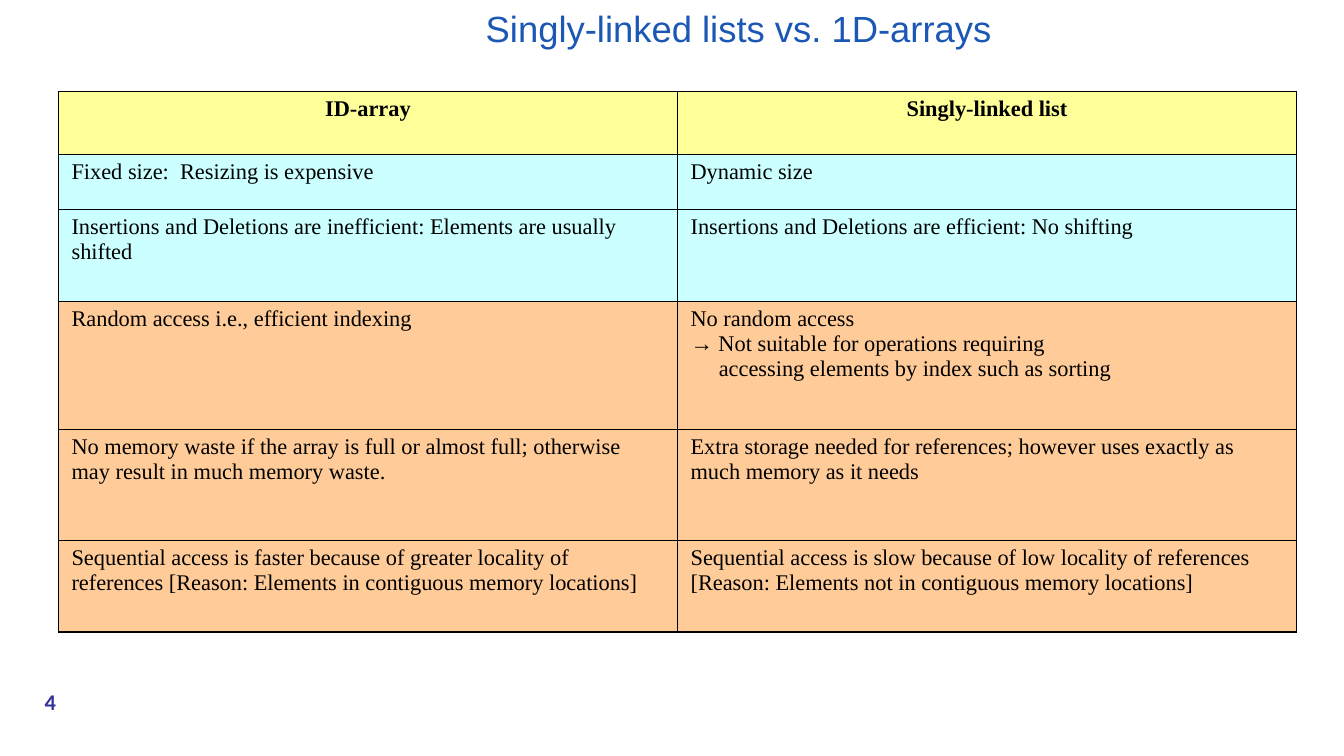
"""Build a slide that compares singly-linked lists with 1D-arrays."""
from dataclasses import dataclass

import pptx
import pptx.dml.color
import pptx.enum.shapes
import pptx.enum.text
import pptx.oxml
import pptx.oxml.ns
import pptx.util

SCALE = 9144
ALIGN = pptx.enum.text.PP_ALIGN
MIDDLE = pptx.enum.text.MSO_ANCHOR.MIDDLE
YELLOW, CYAN, ORANGE = "FFFF99", "CCFFFF", "FFCC99"
BLACK, WHITE = "000000", "FFFFFF"
INDENT = 28


@dataclass(frozen=True)
class Style:
    face: str
    size: int
    color: str
    bold: bool = False
    align: ALIGN = ALIGN.LEFT


@dataclass(frozen=True)
class Row:
    height: int
    fill: str
    array: str
    linked: str


HEAD = Style("Times New Roman", 16, BLACK, True, ALIGN.CENTER)
BODY = Style("Times New Roman", 16, BLACK)
TITLE = Style("Arial", 26, "1B57B5", align=ALIGN.CENTER)
NUMBER = Style("Calibri", 16, "333399", True, ALIGN.CENTER)

ROWS = [
    Row(62, YELLOW, "ID-array", "Singly-linked list"),
    Row(55, CYAN, "Fixed size:  Resizing is expensive", "Dynamic size"),
    Row(91, CYAN,
        "Insertions and Deletions are inefficient: Elements are usually shifted",
        "Insertions and Deletions are efficient: No shifting"),
    Row(127, ORANGE,
        "Random access i.e., efficient indexing",
        "No random access\n→ Not suitable for operations requiring\n"
        "accessing elements by index such as sorting"),
    Row(110, ORANGE,
        "No memory waste if the array is full or almost full; "
        "otherwise may result in much memory waste.",
        "Extra storage needed for references; "
        "however uses exactly as much memory as it needs"),
    Row(91, ORANGE,
        "Sequential access is faster because of greater locality of references "
        "[Reason: Elements in contiguous memory locations]",
        "Sequential access is slow because of low locality of references "
        "[Reason: Elements not in contiguous memory locations]"),
]


def px(count: int) -> pptx.util.Emu:
    return pptx.util.Emu(count * SCALE)


def rgb(code: str) -> pptx.dml.color.RGBColor:
    return pptx.dml.color.RGBColor.from_string(code)


def paint(fill, code: str) -> None:
    fill.solid()
    fill.fore_color.rgb = rgb(code)


def write(frame, text: str, style: Style) -> None:
    frame.text = text
    frame.word_wrap = True
    for par in frame.paragraphs:
        par.alignment = style.align
        for run in par.runs:
            font = run.font
            font.name = style.face
            font.size = pptx.util.Pt(style.size)
            font.bold = style.bold
            font.color.rgb = rgb(style.color)


def border(cell) -> None:
    props = cell._tc.get_or_add_tcPr()
    for side in ("lnL", "lnR", "lnT", "lnB"):
        props.append(pptx.oxml.parse_xml(
            f'<a:{side} {pptx.oxml.ns.nsdecls("a")} w="{pptx.util.Pt(1)}">'
            f'<a:solidFill><a:srgbClr val="{BLACK}"/></a:solidFill></a:{side}>'))


def draw_cell(cell, text: str, fill: str, style: Style) -> None:
    border(cell)
    paint(cell.fill, fill)
    cell.margin_left = cell.margin_right = px(13)
    cell.margin_top = cell.margin_bottom = px(5)
    write(cell.text_frame, text, style)


def draw_table(slide) -> None:
    high = sum(row.height for row in ROWS)
    table = slide.shapes.add_table(
        len(ROWS), 2, px(58), px(91), px(1228), px(high)).table
    table.first_row = table.horz_banding = False
    for at, row in enumerate(ROWS):
        table.rows[at].height = px(row.height)
        style = BODY if at else HEAD
        for col, text in enumerate((row.array, row.linked)):
            draw_cell(table.cell(at, col), text, row.fill, style)
    last = table.cell(3, 1).text_frame.paragraphs[-1]
    last._p.get_or_add_pPr().set("marL", str(px(INDENT)))


def draw_number(slide) -> None:
    badge = slide.shapes.add_shape(
        pptx.enum.shapes.MSO_SHAPE.OVAL, px(0), px(680), px(100), px(33))
    badge.shadow.inherit = False
    paint(badge.fill, WHITE)
    paint(badge.line.fill, WHITE)
    badge.line.width = pptx.util.Pt(2)
    frame = badge.text_frame
    frame.margin_left = frame.margin_right = 0
    frame.margin_top = frame.margin_bottom = 0
    frame.vertical_anchor = MIDDLE
    write(frame, "4", NUMBER)


def draw_title(slide) -> None:
    box = slide.shapes.add_textbox(px(133), px(0), px(1200), px(55))
    box.text_frame.vertical_anchor = MIDDLE
    write(box.text_frame, "Singly-linked lists vs. 1D-arrays", TITLE)


def main() -> None:
    deck = pptx.Presentation()
    deck.slide_width, deck.slide_height = px(1333), px(750)
    slide = deck.slides.add_slide(deck.slide_layouts[6])
    paint(slide.background.fill, WHITE)
    draw_number(slide)
    draw_title(slide)
    draw_table(slide)
    deck.save("out.pptx")


if __name__ == "__main__":
    main()
